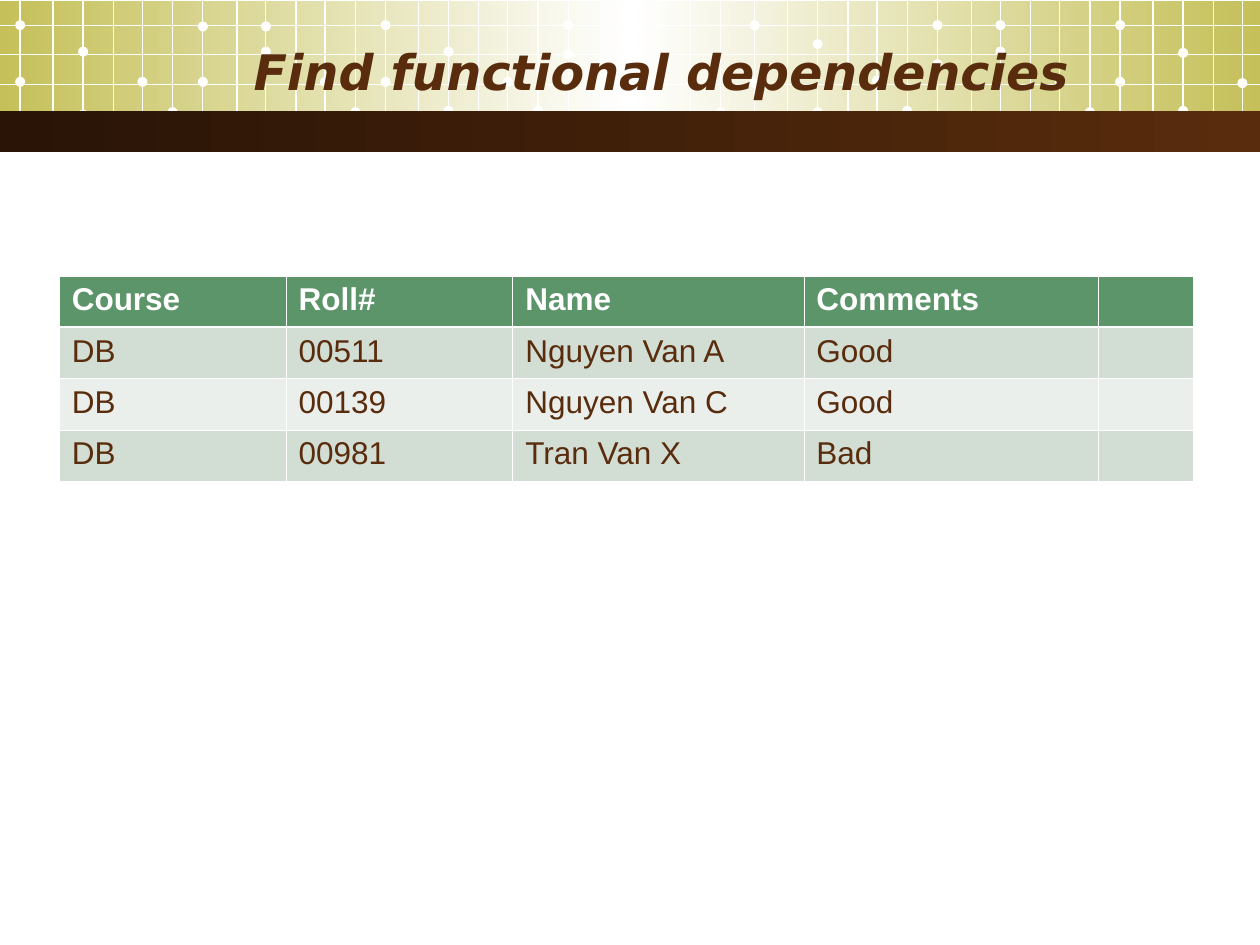
from lxml.etree import SubElement
from pptx import Presentation
from pptx.dml.color import RGBColor
from pptx.enum.shapes import MSO_CONNECTOR as CONNECTOR, MSO_SHAPE as SHAPE
from pptx.enum.text import MSO_ANCHOR as ANCHOR, PP_ALIGN as ALIGN
from pptx.oxml.ns import qn
from pptx.util import Inches, Pt

COLORS = {
    "white": "FFFFFF", "olive": "C5C059", "dark": "291406", "brown": "592C0D",
    "green": "5B9569", "sage": "D2DDD4", "pale": "EAEFEB",
}

deck = Presentation()
deck.slide_width, deck.slide_height = Inches(10), Inches(7.5)
page = deck.slides.add_slide(deck.slide_layouts[5])


def add_gradient_bar(top, height, names):
    bar = page.shapes.add_shape(SHAPE.RECTANGLE, 0, Inches(top), Inches(10), Inches(height))
    bar.shadow.inherit = False
    bar.line.fill.background()
    bar.fill.gradient()
    bar.fill.gradient_angle = 0
    stops = bar._element.spPr.find(".//" + qn("a:gsLst"))
    stops.clear()
    for index, name in enumerate(names):
        stop = SubElement(stops, qn("a:gs"), pos=str(100000 * index // (len(names) - 1)))
        SubElement(stop, qn("a:srgbClr"), val=COLORS[name])


def add_grid_line(x1, y1, x2, y2):
    line = page.shapes.add_connector(
        CONNECTOR.STRAIGHT, Inches(x1), Inches(y1), Inches(x2), Inches(y2))
    line.line.color.rgb = RGBColor.from_string(COLORS["white"])
    line.line.width = Pt(0.75)
    SubElement(line._element.spPr, qn("a:effectLst"))


add_gradient_bar(0.01, 1.02, ["olive", "white", "olive"])

block_starts = [0.16, 3.06, 5.99, 8.89]
line_offsets = [0, 0.26, 0.5, 0.74, 0.97, 1.21, 1.45, 1.72, 1.95, 2.19, 2.42, 2.66]
for start in block_starts:
    for offset in line_offsets:
        if start + offset < 10:
            add_grid_line(start + offset, 0, start + offset, 1.1)
for y in [0.2, 0.43, 0.67, 0.89]:
    add_grid_line(0, y, 10, y)

dot_size = 0.08
dot_offsets = [0, 0.5, 0.97, 1.21, 1.45, 1.95, 2.42, 2.66]
dot_tops = [
    [[0.16, 0.61], [0.37, 0.87], [0.61], [0.85], [0.17, 0.61], [0.17, 0.37], [0.61], [0.85]],
    [[0.16, 0.61], [0.37, 0.84], [0.61], [0.84], [0.16, 0.39], [0.16, 0.38], [0.61], [0.85]],
    [[0.16, 0.62], [0.31, 0.85], [0.6], [0.84], [0.16, 0.47], [0.16, 0.37], [0.61], [0.85]],
    [[0.16, 0.61], [0.38, 0.84], [0.62]],
]
for start, columns in zip(block_starts, dot_tops):
    for offset, tops in zip(dot_offsets, columns):
        for top in tops:
            dot = page.shapes.add_shape(
                SHAPE.OVAL, Inches(start + offset - dot_size / 2), Inches(top),
                Inches(dot_size), Inches(dot_size))
            dot.shadow.inherit = False
            dot.fill.solid()
            dot.fill.fore_color.rgb = RGBColor.from_string(COLORS["white"])
            dot.line.fill.background()

add_gradient_bar(0.88, 0.33, ["dark", "brown"])

title = page.shapes.title
page.shapes._spTree.append(title._element)
title.left, title.top = Inches(0.5), Inches(0.25)
title.width, title.height = Inches(8.08), Inches(0.62)
title.text_frame.vertical_anchor = ANCHOR.MIDDLE
para = title.text_frame.paragraphs[0]
para.alignment = ALIGN.RIGHT
span = para.add_run()
span.text = "Find functional dependencies"
span.font.name = "DejaVu Sans"
span.font.size = Pt(28)
span.font.bold = span.font.italic = True
span.font.color.rgb = RGBColor.from_string(COLORS["brown"])

rows = [
    ["Course", "Roll#", "Name", "Comments", ""],
    ["DB", "00511", "Nguyen Van A", "Good", ""],
    ["DB", "00139", "Nguyen Van C", "Good", ""],
    ["DB", "00981", "Tran Van X", "Bad", ""],
]
row_fills = ["green", "sage", "pale", "sage"]
column_widths = [1.8, 1.8, 2.31, 2.34, 0.75]
table = page.shapes.add_table(
    len(rows), len(column_widths), Inches(0.47), Inches(2.19), Inches(9), Inches(1.63)).table
for column, width in zip(table.columns, column_widths):
    column.width = Inches(width)

for row_index, (texts, fill_name) in enumerate(zip(rows, row_fills)):
    is_header = row_index == 0
    heavy_side = {0: "lnB", 1: "lnT"}.get(row_index)
    for column_index, text in enumerate(texts):
        cell = table.cell(row_index, column_index)
        for side in ["lnL", "lnR", "lnT", "lnB"]:
            width = Pt(1.47) if side == heavy_side else Pt(0.45)
            border = SubElement(cell._tc.get_or_add_tcPr(), qn("a:" + side), w=str(width))
            paint = SubElement(border, qn("a:solidFill"))
            SubElement(paint, qn("a:srgbClr"), val=COLORS["white"])
        cell.fill.solid()
        cell.fill.fore_color.rgb = RGBColor.from_string(COLORS[fill_name])
        if text:
            span = cell.text_frame.paragraphs[0].add_run()
            span.text = text
            span.font.name = "Arial"
            span.font.size = Pt(18)
            span.font.bold = is_header
            span.font.color.rgb = RGBColor.from_string(COLORS["white" if is_header else "brown"])

deck.save("out.pptx")
